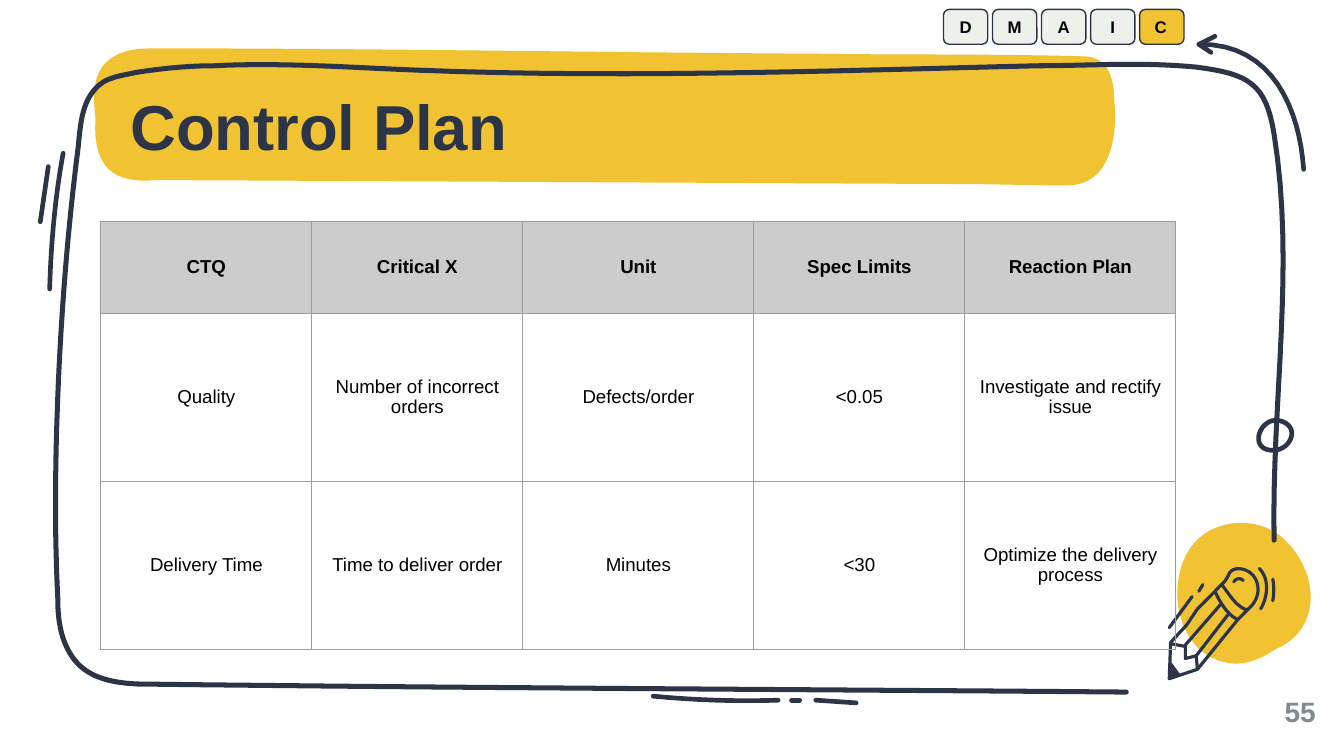
from lxml import etree
from pptx import Presentation
from pptx.dml.color import RGBColor
from pptx.enum.shapes import MSO_SHAPE
from pptx.enum.text import MSO_ANCHOR, PP_ALIGN
from pptx.oxml.ns import qn
from pptx.util import Inches, Pt

ROUNDED = MSO_SHAPE.ROUNDED_RECTANGLE
MIDDLE = MSO_ANCHOR.MIDDLE
LEFT, CENTER, RIGHT = PP_ALIGN.LEFT, PP_ALIGN.CENTER, PP_ALIGN.RIGHT

YELLOW = RGBColor(0xF1, 0xC2, 0x32)
NAVY = RGBColor(0x2B, 0x35, 0x47)
SLATE = RGBColor(0x7F, 0x8B, 0x91)
PALE = RGBColor(0xED, 0xF0, 0xEB)
HEADER_GREY = RGBColor(0xCC, 0xCC, 0xCC)
BORDER_GREY = RGBColor(0x9E, 0x9E, 0x9E)
BLACK = RGBColor(0, 0, 0)

BANNER = [(7.59, .38), (7.59, .22), (7.54, .07), (7.38, .06), (6.71, .04), (6.05, .05),
          (5.38, .04), (3.65, .03), (2.15, 0), (.42, 0), (-.1, 0), (.01, .41), (.01, .53),
          (-.01, .89), (.15, 1.01), (.46, .98), (2.46, .99), (4.46, 1), (6.45, 1.01),
          (6.72, 1.01), (6.98, 1.02), (7.24, 1.02), (7.56, 1.02), (7.62, .66), (7.59, .38)]
BLOB = [(.92, .24), (.8, 0), (.43, -.09), (.21, .1), (-.04, .32), (-.09, .84), (.27, 1),
        (.39, 1.05), (.51, 1.03), (.63, .99), (1, .94), (1.09, .54), (.92, .24)]
FRAME = [(7.98, 4.69), (5.53, 4.67), (3.07, 4.66), (.62, 4.63), (.42, 4.62), (.28, 4.58),
         (.18, 4.48), (.05, 4.34), (.03, 4.15), (.03, 3.99), (.01, 3.59), (.01, 3.19),
         (.02, 2.79), (.04, 2.07), (.09, 1.36), (.18, .65), (.2, .48), (.2, .26),
         (.37, .15), (.44, .11), (.52, .1), (.61, .08), (.8, .05), (1, .03), (1.19, .03),
         (1.6, .01), (2.01, .03), (2.42, .05), (4.05, .13), (5.69, .07), (7.32, .03),
         (7.72, .03), (8.08, 0), (8.5, .04), (8.89, .09), (9.02, .16), (9.08, .54),
         (9.24, 1.53), (9.06, 2.53), (9.08, 3.56)]
ROWS = [
    ["CTQ", "Critical X", "Unit", "Spec Limits", "Reaction Plan"],
    ["Quality", "Number of incorrect orders", "Defects/order", "<0.05",
     "Investigate and rectify issue"],
    ["Delivery Time", "Time to deliver order", "Minutes", "<30",
     "Optimize the delivery process"],
]


def bezier(points, steps=16):
    """Return points along a chain of cubic curves."""
    line = [points[0]]
    for first in range(0, len(points) - 1, 3):
        a, b, c, d = points[first:first + 4]
        for step in range(1, steps + 1):
            t = step / steps
            u = 1 - t
            line.append(tuple(u**3 * a[i] + 3 * u * u * t * b[i] + 3 * u * t * t * c[i]
                              + t**3 * d[i] for i in (0, 1)))
    return line


def outline(slide, box, strokes, closed=False):
    """Build one freeform from strokes given in inches from the box corner."""
    paths = [[(Inches(x), Inches(y)) for x, y in stroke] for stroke in strokes]
    builder = slide.shapes.build_freeform(*paths[0][0], scale=1.0)
    for index, path in enumerate(paths):
        if index:
            builder.move_to(*path[0])
        builder.add_line_segments(path[1:], close=closed)
    shape = builder.convert_to_shape(Inches(box[0]), Inches(box[1]))
    shape.shadow.inherit = False
    return shape


def ink(slide, box, strokes, width=2.5):
    """Draw strokes as round-ended pen lines."""
    shape = outline(slide, box, strokes)
    shape.fill.background()
    shape.line.color.rgb = NAVY
    shape.line.width = Pt(width)
    line = shape.line._get_or_add_ln()
    line.set("cap", "rnd")
    etree.SubElement(line, qn("a:round"))


def patch(slide, box, points, color=YELLOW, rotation=0):
    """Draw a filled area without a line."""
    shape = outline(slide, box, [points], closed=True)
    shape.fill.solid()
    shape.fill.fore_color.rgb = color
    shape.line.fill.background()
    shape.rotation = rotation


def write(frame, text, size=10, color=BLACK, bold=True, align=CENTER, spacing=None):
    """Put one formatted paragraph into a text frame."""
    paragraph = frame.paragraphs[0]
    paragraph.alignment = align
    paragraph.line_spacing = spacing
    run = paragraph.add_run()
    run.text = text
    run.font.name = "Arial"
    run.font.size = Pt(size)
    run.font.bold = bold
    run.font.color.rgb = color


def set_margins(holder, inches):
    """Set all four margins of a text frame or cell."""
    holder.margin_left = holder.margin_right = Inches(inches)
    holder.margin_top = holder.margin_bottom = Inches(inches)


def add_label(slide, box, text, **style):
    """Add a text box without margins."""
    frame = slide.shapes.add_textbox(*map(Inches, box)).text_frame
    frame.word_wrap = True
    frame.vertical_anchor = MIDDLE
    set_margins(frame, 0)
    write(frame, text, **style)


def add_decoration(slide, box):
    """Draw the hand-drawn frame and the marks around it."""
    x, y = box
    ink(slide, box, [bezier(FRAME)], 2.7)
    ink(slide, (x + 8.5, y - .2), [bezier([(.02, .07), (.58, .06), (.77, .57), (.8, 1)]),
                                   [(.14, .01), (.02, .07), (.11, .13)]])
    ink(slide, (x + 8.95, y + 2.65), [bezier([(.17, .02), (.03, -.01), (-.06, .22), (.1, .24),
                                              (.25, .26), (.34, .06), (.17, .02)])])
    ink(slide, (x + 4.44, y + 4.71), [bezier([(.02, .01), (.33, .04), (.64, .05), (.95, .04)]),
                                      [(1.05, .04), (1.11, .04)], [(1.23, .04), (1.53, .06)]])
    ink(slide, (x - .12, y + .66), [bezier([(.19, .02), (.13, .35), (.1, .69), (.09, 1.03)]),
                                    [(.08, .12), (.02, .53)]])


def add_pencil(slide, box):
    """Draw the pencil with its motion marks."""
    cap = [(.4, .13), (.43, .1), (.44, .08), (.45, .06), (.48, -.02), (.6, .01), (.64, .07),
           (.69, .14), (.68, .24), (.6, .31)]
    body = [(.4, .13), (.22, .31), (.14, .43), (.02, .56), (.01, .83), (.22, .76),
            (.52, .39), (.6, .31)]
    crown = [(.02, .57), (.13, .59), (.13, .68), (.21, .66), (.22, .76)]
    curves = [cap,
              [(.4, .13), (.45, .19), (.5, .29), (.59, .32)],
              [(.35, .18), (.39, .27), (.45, .36), (.52, .39)],
              [(.49, .11), (.51, .08), (.54, .08), (.56, .1)],
              [(.68, .01), (.76, .09), (.74, .23), (.69, .31)],
              [(.78, .09), (.79, .14), (.79, .19), (.78, .25)]]
    grooves = [[(.39, .28), (.13, .58)], [(.45, .35), (.21, .66)]]
    marks = [[(.01, .45), (.18, .22)], [(.23, .18), (.26, .13)]]
    ink(slide, box, [bezier(curve) for curve in curves] + [body, crown] + grooves + marks, 1.7)
    patch(slide, box, [(.02, .7), (.1, .81), (.01, .83)], NAVY)


def add_phases(slide, box, current="C"):
    """Place the phase chips in a row and highlight the current one."""
    left, top, width, height = box
    phases = ["D", "M ", "A", "I", "C"]
    chip_width = .33
    pitch = (width - chip_width) / (len(phases) - 1)
    for index, phase in enumerate(phases):
        chip = slide.shapes.add_shape(ROUNDED, Inches(left + index * pitch), Inches(top),
                                      Inches(chip_width), Inches(height))
        chip.shadow.inherit = False
        chip.fill.solid()
        chip.fill.fore_color.rgb = YELLOW if phase == current else PALE
        chip.line.color.rgb = NAVY
        chip.line.width = Pt(.75)
        frame = chip.text_frame
        frame.word_wrap = True
        frame.vertical_anchor = MIDDLE
        set_margins(frame, .1)
        write(frame, phase, size=9, align=LEFT if phase == current else CENTER)


def add_borders(cell):
    """Give a cell a thin grey line on every side."""
    properties = cell._tc.get_or_add_tcPr()
    for position, side in enumerate(["a:lnL", "a:lnR", "a:lnT", "a:lnB"]):
        line = etree.Element(qn(side), w=str(Pt(.75)))
        fill = etree.SubElement(line, qn("a:solidFill"))
        etree.SubElement(fill, qn("a:srgbClr"), val=str(BORDER_GREY))
        properties.insert(position, line)


def add_plan(slide, box):
    """Add the control plan table."""
    table = slide.shapes.add_table(len(ROWS), len(ROWS[0]), *map(Inches, box)).table
    table.first_row = table.horz_banding = False
    for column, width in zip(table.columns, [1.57, 1.57, 1.72, 1.57, 1.57]):
        column.width = Inches(width)
    for row, height in zip(table.rows, [.68, 1.25, 1.25]):
        row.height = Inches(height)
    for r, texts in enumerate(ROWS):
        for c, text in enumerate(texts):
            cell = table.cell(r, c)
            cell.vertical_anchor = MIDDLE
            set_margins(cell, .1)
            if r == 0:
                cell.fill.solid()
                cell.fill.fore_color.rgb = HEADER_GREY
            else:
                cell.fill.background()
            add_borders(cell)
            write(cell.text_frame, text, bold=r == 0)


def main():
    """Build and save the slide."""
    deck = Presentation()
    deck.slide_width = Inches(10)
    deck.slide_height = deck.slide_width * 9 // 16
    slide = deck.slides.add_slide(deck.slide_layouts[6])
    patch(slide, (8.74, 3.89), bezier(BLOB), rotation=345.3)
    patch(slide, (.7, .36), bezier(BANNER))
    add_decoration(slide, (.4, .46))
    add_label(slide, (.97, .75, 7.03, .43), "Control Plan", size=34, color=NAVY,
              align=LEFT, spacing=.9)
    add_label(slide, (9.19, 5.13, .6, .33), "55", size=15, color=SLATE, align=RIGHT)
    add_pencil(slide, (8.69, 4.22))
    add_phases(slide, (7.02, .07, 1.79, .26))
    add_plan(slide, (.75, 1.65, 8, 3.18))
    deck.save("out.pptx")


if __name__ == "__main__":
    main()
